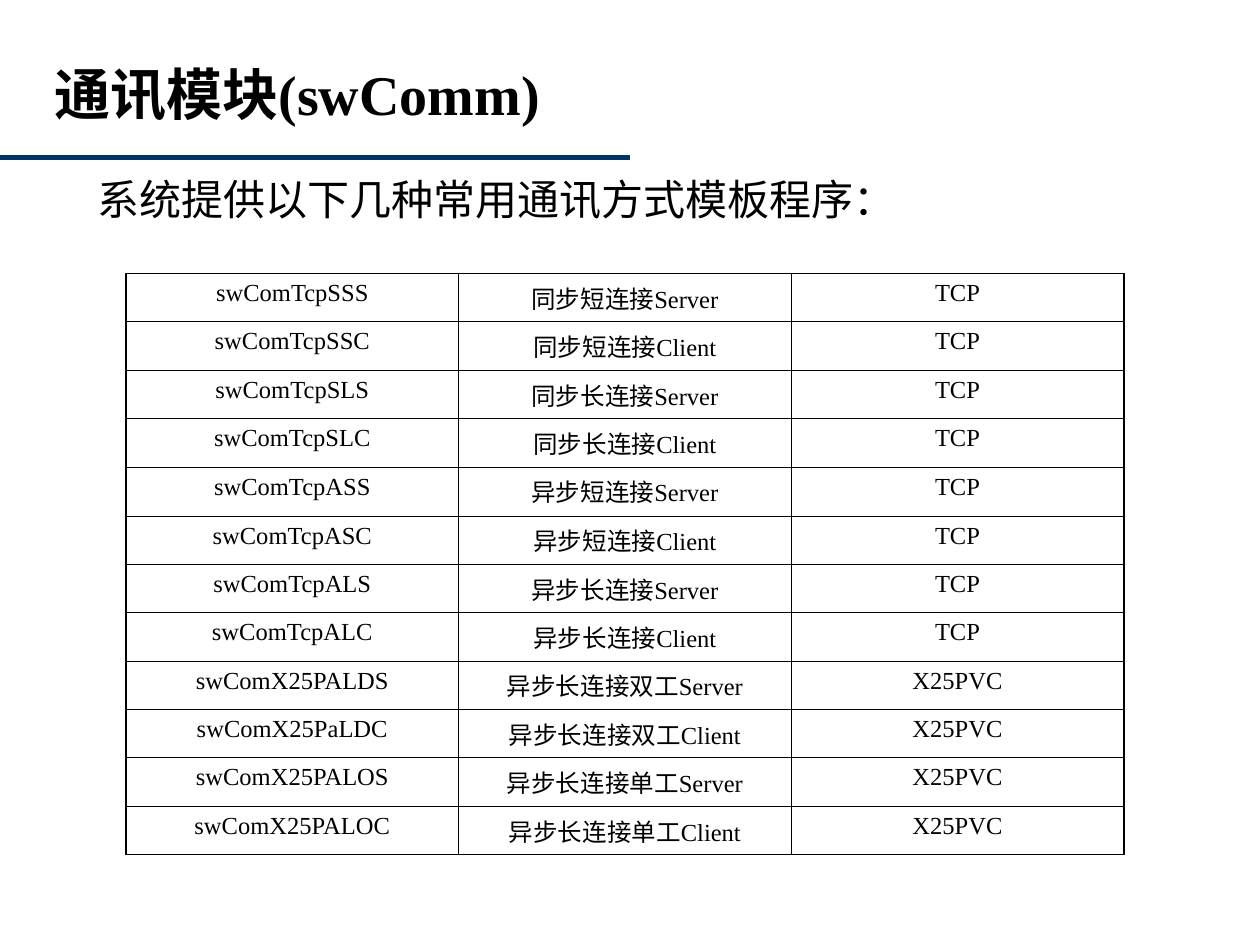
from lxml.etree import SubElement
from pptx import Presentation
from pptx.dml.color import RGBColor
from pptx.enum.shapes import MSO_CONNECTOR
from pptx.enum.text import MSO_ANCHOR, MSO_AUTO_SIZE, PP_ALIGN
from pptx.oxml.ns import qn
from pptx.util import Pt

PX = 9144  # 100 px to the inch
FACE = "Times New Roman"


def color(code):
    return RGBColor.from_string(code)


def style(para, align, form):
    para.alignment = align
    para.space_before = Pt(0)
    for name, value in form.items():
        setattr(para.font, name, value)
    para.font.color.rgb = color("000000")


deck = Presentation()
deck.slide_width, deck.slide_height = 1000 * PX, 750 * PX
slide = deck.slides.add_slide(deck.slide_layouts[1])
title, body = slide.placeholders

# Rule under the title
rule = slide.shapes.add_connector(MSO_CONNECTOR.STRAIGHT, 0, 125 * PX, 500 * PX, 125 * PX)
rule.line.color.rgb = color("003366")
rule.line.width = Pt(3)
SubElement(rule._element.spPr, qn("a:effectLst"))

# Title and lead sentence
heads = [
    (title, "通讯模块(swComm)", (33, 42, 750, 64), PP_ALIGN.JUSTIFY,
     {"name": FACE, "size": Pt(32), "bold": True}),
    (body, "系统提供以下几种常用通讯方式模板程序：", (67, 133, 883, 50), PP_ALIGN.LEFT,
     {"name": FACE, "size": Pt(24)}),
]
for box, text, place, align, form in heads:
    for side, size in zip(("left", "top", "width", "height"), place):
        setattr(box, side, size * PX)
    frame = box.text_frame
    frame.text = text
    frame.word_wrap = True
    frame.auto_size = MSO_AUTO_SIZE.NONE
    frame.vertical_anchor = MSO_ANCHOR.MIDDLE
    para = frame.paragraphs[0]
    props = para._p.get_or_add_pPr()
    props.set("marL", "0")
    props.set("indent", "0")
    SubElement(props, qn("a:buNone"))
    style(para, align, form)

# Table of template programs
rows = [
    ("swComTcpSSS", "同步短连接Server", "TCP"),
    ("swComTcpSSC", "同步短连接Client", "TCP"),
    ("swComTcpSLS", "同步长连接Server", "TCP"),
    ("swComTcpSLC", "同步长连接Client", "TCP"),
    ("swComTcpASS", "异步短连接Server", "TCP"),
    ("swComTcpASC", "异步短连接Client", "TCP"),
    ("swComTcpALS", "异步长连接Server", "TCP"),
    ("swComTcpALC", "异步长连接Client", "TCP"),
    ("swComX25PALDS", "异步长连接双工Server", "X25PVC"),
    ("swComX25PaLDC", "异步长连接双工Client", "X25PVC"),
    ("swComX25PALOS", "异步长连接单工Server", "X25PVC"),
    ("swComX25PALOC", "异步长连接单工Client", "X25PVC"),
]
tall = [35, 35, 34, 35, 39, 35, 34, 35, 38, 34, 34, 34]
table = slide.shapes.add_table(len(rows), 3, 100 * PX, 217 * PX, 792 * PX, sum(tall) * PX).table
table.first_row = table.horz_banding = False
for col in table.columns:
    col.width = 264 * PX

for r, row in enumerate(rows):
    table.rows[r].height = tall[r] * PX
    for c, text in enumerate(row):
        cell = table.cell(r, c)
        cell.text = text
        style(cell.text_frame.paragraphs[0], PP_ALIGN.CENTER, {"name": FACE, "size": Pt(14)})

        # Thick outer edges, thin inner ones
        props = cell._tc.get_or_add_tcPr()
        edges = {"lnL": c == 0, "lnR": c == 2, "lnT": r == 0, "lnB": r == len(rows) - 1}
        for tag, outer in edges.items():
            edge = SubElement(props, qn("a:" + tag), w=str(Pt(1.08 if outer else 0.45)))
            fill = SubElement(edge, qn("a:solidFill"))
            SubElement(fill, qn("a:srgbClr"), val="000000")
        cell.fill.background()

deck.save("out.pptx")
